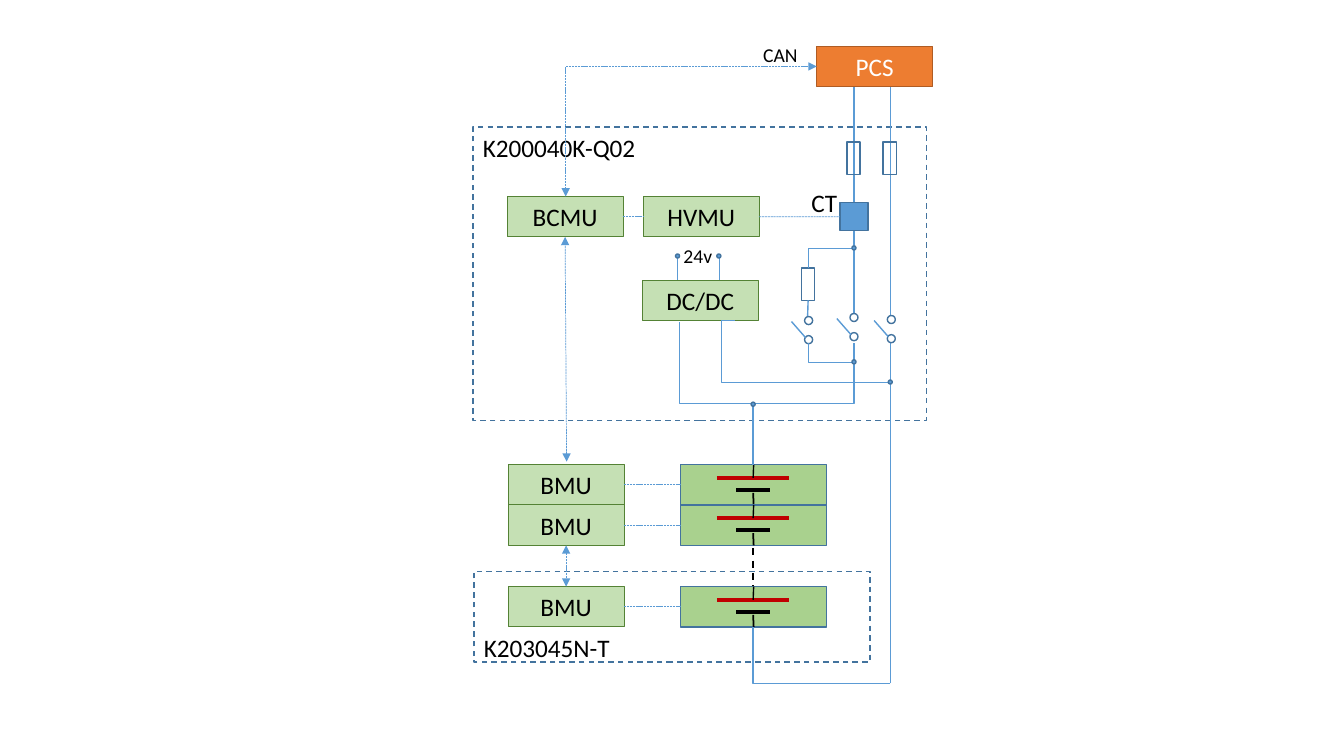
from dataclasses import dataclass

from lxml import etree
from pptx import Presentation
from pptx.dml.color import RGBColor
from pptx.enum.dml import MSO_LINE
from pptx.enum.shapes import MSO_CONNECTOR, MSO_SHAPE
from pptx.enum.text import MSO_ANCHOR, MSO_AUTO_SIZE, PP_ALIGN
from pptx.oxml.ns import qn
from pptx.shapes.autoshape import Shape
from pptx.shapes.connector import Connector
from pptx.shapes.shapetree import GroupShapes, SlideShapes
from pptx.text.text import TextFrame
from pptx.util import Inches, Pt

RECTANGLE, OVAL = MSO_SHAPE.RECTANGLE, MSO_SHAPE.OVAL
STRAIGHT, ELBOW = MSO_CONNECTOR.STRAIGHT, MSO_CONNECTOR.ELBOW
DASH, FINE_DASH = MSO_LINE.DASH, MSO_LINE.SQUARE_DOT
LEFT, CENTER = PP_ALIGN.LEFT, PP_ALIGN.CENTER
TOP, BOTTOM = MSO_ANCHOR.TOP, MSO_ANCHOR.BOTTOM
TOP_SIDE, LEFT_SIDE, BOTTOM_SIDE, RIGHT_SIDE = range(4)

FONT = "Calibri"
BLACK, WHITE, RED, ORANGE = "000000", "FFFFFF", "C00000", "ED7D31"
BLUE, DARK_BLUE = "5B9BD5", "43739E"
PALE_GREEN, GREEN, DARK_GREEN = "C5E0B4", "A9D18E", "548235"

Point = tuple[float, float]
Shapes = SlideShapes | GroupShapes


@dataclass(frozen=True)
class Stroke:
    color: str
    width: float
    dash: MSO_LINE | None = None
    arrows: bool = False


@dataclass(frozen=True)
class Unit:
    text: str
    left: float
    top: float
    fill: str = PALE_GREEN
    edge: Stroke = Stroke(DARK_GREEN, 0.75)
    color: str = BLACK


@dataclass(frozen=True)
class Bend:
    """A wire with one or two corners; the first leg is vertical unless sideways."""
    begin: Point
    end: Point
    stroke: Stroke
    corners: int = 1
    turn: float = 0.5
    sideways: bool = False


WIRE, THIN_WIRE = Stroke(BLUE, 1), Stroke(BLUE, 0.5)
SIGNAL = Stroke(BLUE, 0.5, FINE_DASH)
BUS = Stroke(BLUE, 0.5, FINE_DASH, arrows=True)
EDGE, FRAME = Stroke(DARK_BLUE, 1), Stroke(DARK_BLUE, 1, DASH)
PLUS_PLATE, MINUS_PLATE = Stroke(RED, 3), Stroke(BLACK, 3)
LEAD, THIN_LEAD = Stroke(BLACK, 1.25), Stroke(BLACK, 1)
SERIES = Stroke(BLACK, 1.25, DASH)

UNIT_WIDTH, UNIT_HEIGHT, CELL_WIDTH = 1.15, 0.4, 1.45
CELL_LEFT, CELL_AXIS = 6.75, 7.47
POSITIVE, NEGATIVE, PRECHARGE = 8.47, 8.83, 8.02
CELL_TOPS = (4.61, 5.01, 5.82)

PCS = Unit("PCS", 8.1, 0.46, ORANGE, Stroke("AF5C24", 1), WHITE)
BCMU = Unit("BCMU", 5.03, 1.95)
HVMU = Unit("HVMU", 6.38, 1.95)
DCDC = Unit("DC/DC", 6.37, 2.78)

MAIN_WIRES = (
    ((POSITIVE, 3.12), (POSITIVE, 0.85)),
    ((NEGATIVE, 6.78), (NEGATIVE, 3.4)),
    ((NEGATIVE, 3.13), (NEGATIVE, 0.86)),
)
BENDS = (
    Bend((CELL_AXIS, 4.61), (POSITIVE, 3.4), WIRE, corners=2),
    Bend((5.61, 1.95), (8.1, 0.66), BUS),
    Bend((PRECHARGE, 2.66), (POSITIVE, 2.46), THIN_WIRE),
    Bend((PRECHARGE, 3.4), (POSITIVE, 3.6), THIN_WIRE),
    Bend((CELL_AXIS, 4.61), (6.74, 3.19), THIN_WIRE, corners=2, turn=0.43),
    Bend((7.29, 3.18), (NEGATIVE, 3.79), THIN_WIRE, 2, -0.09, sideways=True),
    Bend((CELL_AXIS, 6.22), (NEGATIVE, 6.78), WIRE),
)
SUPPLY_TERMINALS = ((6.72, 2.54), (7.13, 2.54))
JOINTS = ((NEGATIVE, 3.79), (CELL_AXIS, 4.01), (POSITIVE, 3.59),
          (POSITIVE, 2.46)) + SUPPLY_TERMINALS
SWITCHES = ((8.43, 3.11), (8.8, 3.13), (7.98, 3.14))
RESISTORS = ((8.4, 1.41), (8.76, 1.41), (7.95, 2.66))
LABELS = (("CT", 7.95, 1.81, 0.46, 0.4, 18), ("CAN", 7.47, 0.38, 0.55, 0.34, 14),
          ("24v", 6.68, 2.37, 0.49, 0.34, 14))


def rgb(color: str) -> RGBColor:
    return RGBColor.from_string(color)


def apply_stroke(item: Shape | Connector, stroke: Stroke) -> None:
    item.line.color.rgb = rgb(stroke.color)
    item.line.width = Pt(stroke.width)
    if stroke.dash:
        item.line.dash_style = stroke.dash
    if stroke.arrows:
        outline = item.element.spPr.find(qn("a:ln"))
        for end in ("a:headEnd", "a:tailEnd"):
            etree.SubElement(outline, qn(end), type="triangle")


def write(frame: TextFrame, text: str, align: PP_ALIGN, size: float = 18,
          color: str = BLACK) -> None:
    frame.text = text
    para = frame.paragraphs[0]
    para.alignment = align
    font = para.runs[0].font
    font.name, font.size, font.color.rgb = FONT, Pt(size), rgb(color)


def add_box(shapes: Shapes, left: float, top: float, width: float, height: float,
            edge: Stroke = EDGE, fill: str | None = None,
            preset: MSO_SHAPE = RECTANGLE) -> Shape:
    box = shapes.add_shape(preset, Inches(left), Inches(top), Inches(width), Inches(height))
    box.shadow.inherit = False
    if fill:
        box.fill.solid()
        box.fill.fore_color.rgb = rgb(fill)
    else:
        box.fill.background()
    apply_stroke(box, edge)
    return box


def add_line(shapes: Shapes, begin: Point, end: Point, stroke: Stroke,
             kind: MSO_CONNECTOR = STRAIGHT) -> Connector:
    line = shapes.add_connector(kind, *(Inches(value) for value in (*begin, *end)))
    apply_stroke(line, stroke)
    etree.SubElement(line.element.spPr, qn("a:effectLst"))
    return line


def join(shapes: Shapes, first: Shape, first_side: int, second: Shape,
         second_side: int, stroke: Stroke = SIGNAL) -> None:
    line = add_line(shapes, (0, 0), (1, 1), stroke)
    line.begin_connect(first, first_side)
    line.end_connect(second, second_side)


def add_bend(shapes: Shapes, bend: Bend) -> None:
    """Draw a bent wire; a vertical first leg is a quarter-turned elbow."""
    (x1, y1), (x2, y2) = bend.begin, bend.end
    across, down, angle = x2 - x1, y2 - y1, 0
    if not bend.sideways:
        angle = 90 if across > 0 > down else 270
        sign = 1 if angle == 90 else -1
        across, down = sign * down, -sign * across
    x, y = (x1 + x2) / 2, (y1 + y2) / 2
    wire = add_line(shapes, (x - across / 2, y - down / 2),
                    (x + across / 2, y + down / 2), bend.stroke, ELBOW)
    properties = wire.element.spPr
    if angle:
        properties.find(qn("a:xfrm")).set("rot", str(angle * 60000))
    geometry = properties.find(qn("a:prstGeom"))
    geometry.set("prst", f"bentConnector{bend.corners + 1}")
    if bend.corners == 2:
        etree.SubElement(geometry.find(qn("a:avLst")), qn("a:gd"), name="adj1",
                         fmla=f"val {round(bend.turn * 100000)}")


def add_unit(shapes: Shapes, unit: Unit) -> Shape:
    box = add_box(shapes, unit.left, unit.top, UNIT_WIDTH, UNIT_HEIGHT, unit.edge, unit.fill)
    box.text_frame.vertical_anchor = TOP
    write(box.text_frame, unit.text, CENTER, color=unit.color)
    return box


def add_frame(shapes: Shapes, text: str, left: float, top: float, width: float,
              height: float, anchor: MSO_ANCHOR) -> None:
    box = add_box(shapes, left, top, width, height, FRAME)
    box.text_frame.vertical_anchor = anchor
    if anchor == BOTTOM:
        box.text_frame.margin_bottom = 0
    write(box.text_frame, text, LEFT)


def add_cell(shapes: SlideShapes, top: float) -> Shape:
    """Draw one battery cell and return its rectangle."""
    parts = shapes.add_group_shape().shapes
    case = add_box(parts, CELL_LEFT, top, CELL_WIDTH, UNIT_HEIGHT, EDGE, GREEN)
    for half, drop, stroke in ((0.36, 0.13, PLUS_PLATE), (0.17, 0.25, MINUS_PLATE)):
        add_line(parts, (CELL_AXIS - half, top + drop), (CELL_AXIS + half, top + drop), stroke)
    for drop, side, stroke in ((0.28, BOTTOM_SIDE, LEAD), (0.13, TOP_SIDE, THIN_LEAD)):
        lead = add_line(parts, (CELL_AXIS, top + drop), (CELL_AXIS, top), stroke)
        lead.end_connect(case, side)
    return case


def add_switch(shapes: SlideShapes, left: float, top: float) -> None:
    parts = shapes.add_group_shape().shapes
    for drop in (0, 0.19):
        add_box(parts, left, top + drop, 0.08, 0.08, preset=OVAL)
    add_line(parts, (left + 0.01, top + 0.21), (left - 0.13, top + 0.05), WIRE)


def main() -> None:
    deck = Presentation()
    deck.slide_width, deck.slide_height = Inches(13.33), Inches(7.5)
    shapes = deck.slides.add_slide(deck.slide_layouts[6]).shapes

    add_frame(shapes, "K200040K-Q02", 4.69, 1.26, 4.5, 2.91, TOP)
    add_frame(shapes, "K203045N-T", 4.7, 5.67, 3.93, 0.9, BOTTOM)
    for begin, end in MAIN_WIRES:
        add_line(shapes, begin, end, WIRE)
    add_line(shapes, (CELL_AXIS, 5.32), (CELL_AXIS, 5.95), SERIES)

    monitors = [add_unit(shapes, Unit("BMU", 5.04, top)) for top in CELL_TOPS]
    cells = [add_cell(shapes, top) for top in CELL_TOPS]
    for monitor, cell in zip(monitors, cells):
        join(shapes, monitor, RIGHT_SIDE, cell, LEFT_SIDE)
    join(shapes, monitors[1], BOTTOM_SIDE, monitors[2], TOP_SIDE, BUS)

    bcmu, hvmu, _, _ = [add_unit(shapes, unit) for unit in (BCMU, HVMU, DCDC, PCS)]
    transformer = add_box(shapes, 8.33, 2.01, 0.28, 0.28, EDGE, BLUE)
    join(shapes, bcmu, RIGHT_SIDE, hvmu, LEFT_SIDE)
    join(shapes, hvmu, RIGHT_SIDE, transformer, LEFT_SIDE)
    stack_bus = add_line(shapes, (5.62, 4.58), (5.61, 2.35), BUS)
    stack_bus.end_connect(bcmu, BOTTOM_SIDE)

    resistors = [add_box(shapes, left, top, 0.13, 0.32) for left, top in RESISTORS]
    precharge_wire = add_line(shapes, (8.01, 3.14), (8.01, 2.98), WIRE)
    precharge_wire.end_connect(resistors[-1], BOTTOM_SIDE)
    for left, top in SWITCHES:
        add_switch(shapes, left, top)
    for bend in BENDS:
        add_bend(shapes, bend)
    for x, y in SUPPLY_TERMINALS:
        add_line(shapes, (x, y), (x, DCDC.top), THIN_WIRE)
    for x, y in JOINTS:
        add_box(shapes, x - 0.02, y - 0.02, 0.04, 0.04, EDGE, BLUE, OVAL)

    for text, left, top, width, height, size in LABELS:
        label = shapes.add_textbox(Inches(left), Inches(top), Inches(width), Inches(height))
        label.text_frame.word_wrap = False
        label.text_frame.auto_size = MSO_AUTO_SIZE.SHAPE_TO_FIT_TEXT
        write(label.text_frame, text, LEFT, size)
    deck.save("out.pptx")


if __name__ == "__main__":
    main()
